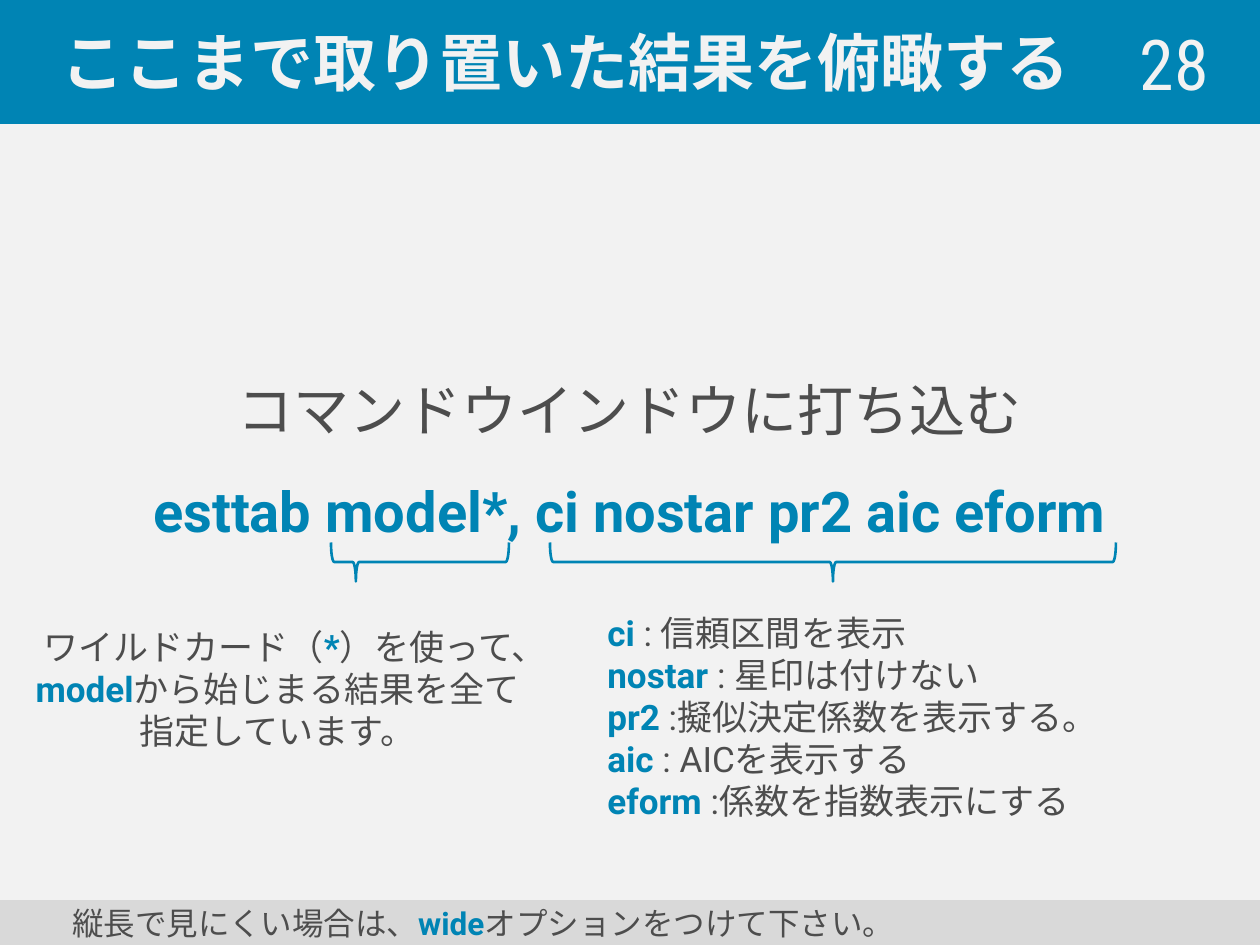
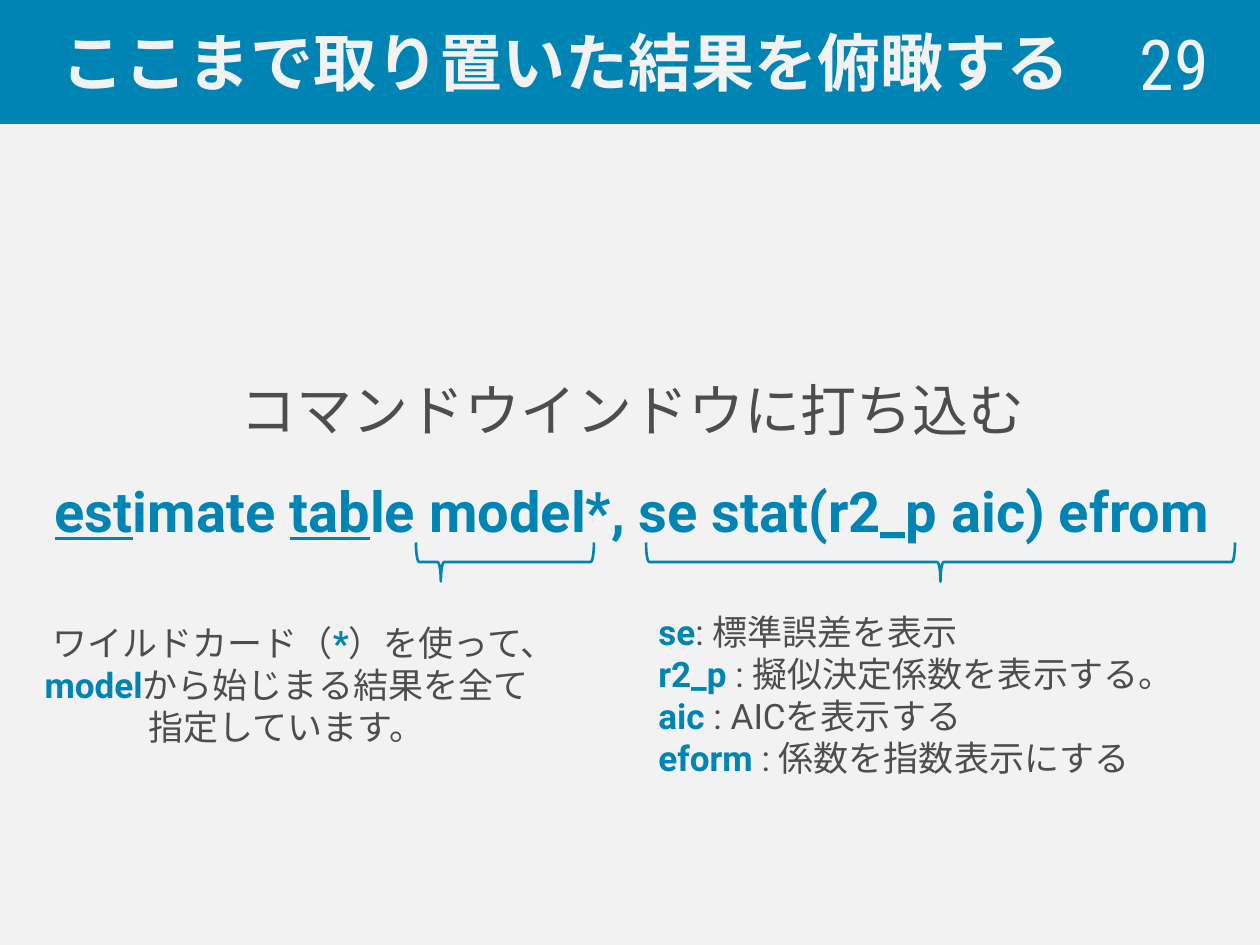
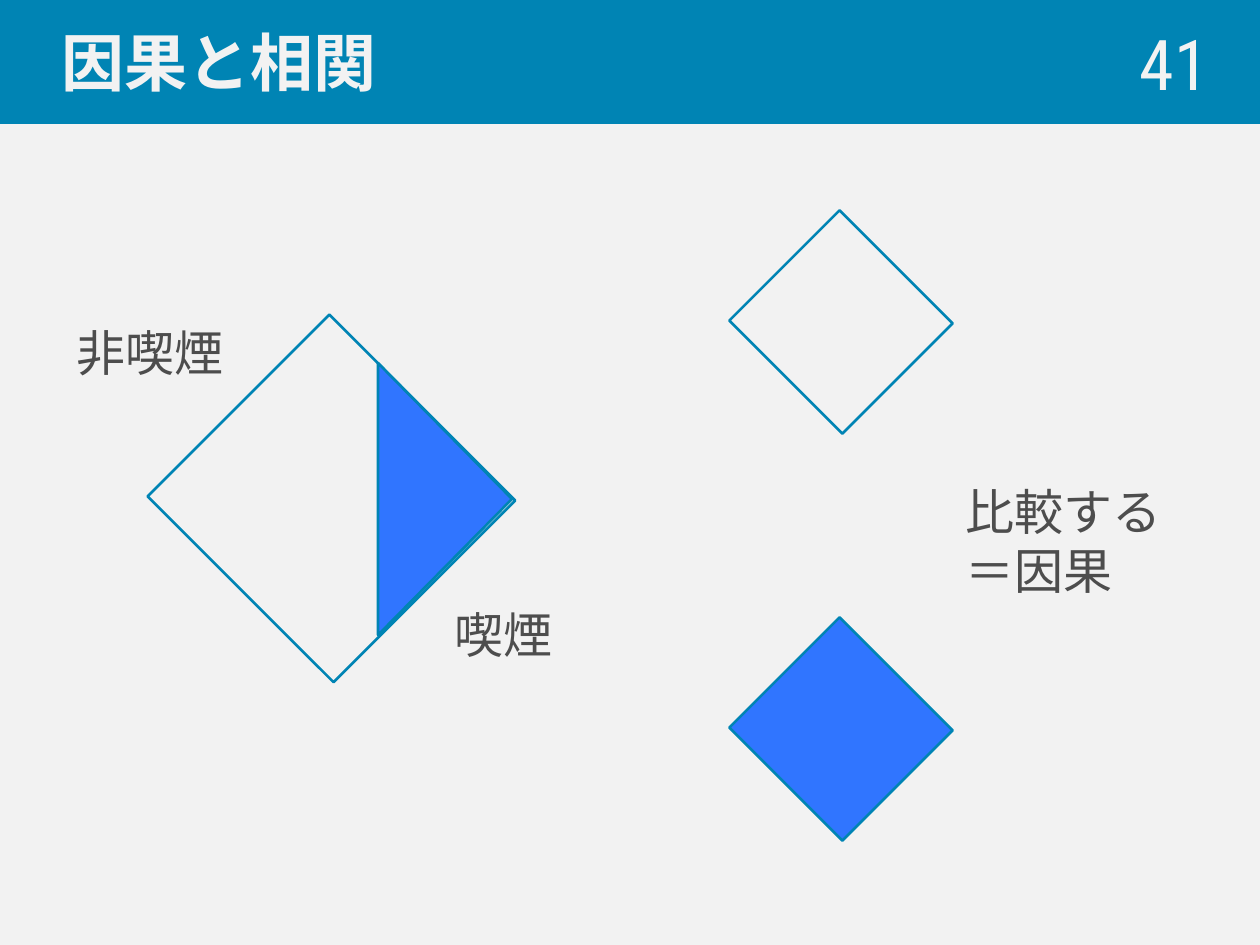
from dataclasses import dataclass

from pptx import Presentation
from pptx.dml.color import RGBColor
from pptx.enum.lang import MSO_LANGUAGE_ID
from pptx.enum.shapes import MSO_SHAPE
from pptx.enum.text import MSO_ANCHOR, MSO_AUTO_SIZE, PP_ALIGN
from pptx.util import Emu, Pt

RECT, BRACE, TRIANGLE = MSO_SHAPE.RECTANGLE, MSO_SHAPE.LEFT_BRACE, MSO_SHAPE.ISOSCELES_TRIANGLE
LEFT, CENTER, RIGHT = PP_ALIGN.LEFT, PP_ALIGN.CENTER, PP_ALIGN.RIGHT
MIDDLE = MSO_ANCHOR.MIDDLE
GROW = MSO_AUTO_SIZE.SHAPE_TO_FIT_TEXT
JAPANESE = MSO_LANGUAGE_ID.JAPANESE
EMU_PER_PX = 914400 / 126
SLIDE_W, SLIDE_H = 1260, 945


@dataclass(frozen=True)
class Theme:
    """Colours, fonts and type sizes of the deck."""
    paper: str = "F2F2F2"
    accent: str = "0084B4"
    ink: str = "4D4D4D"
    band: str = "D9D9D9"
    smokers: str = "3075FF"
    body_font: str = "Roboto"
    title_font: str = "Calibri"
    number_font: str = "Roboto Condensed"
    title: int = 36
    number: int = 40
    command: int = 32
    label: int = 28
    note: int = 20
    footer: int = 18
    outline: float = 1.5


THEME = Theme()


@dataclass(frozen=True)
class Words:
    """A run of text with its emphasis."""
    text: str
    key: bool = False
    underline: bool = False


def key(text, underline=False):
    """Return a bold accent run."""
    return Words(text, True, underline)


WILDCARD_NOTE = [[Words("ワイルドカード（"), key("*"), Words("）を使って、"), key("model"),
                  Words("から始じまる結果を全て指定しています。")]]


def px(length):
    """Turn pixels into EMU."""
    return Emu(round(length * EMU_PER_PX))


def rgb(colour):
    """Turn a hex string into a colour."""
    return RGBColor.from_string(colour)


def add_figure(slide, preset, box, fill=None, line=THEME.accent, turn=0):
    """Draw a preset shape, optionally filled, outlined and turned."""
    figure = slide.shapes.add_shape(preset, *map(px, box))
    figure.shadow.inherit = False
    figure.rotation = turn
    if fill:
        figure.fill.solid()
        figure.fill.fore_color.rgb = rgb(fill)
    else:
        figure.fill.background()
    if line:
        figure.line.color.rgb = rgb(line)
        figure.line.width = Pt(THEME.outline)
    else:
        figure.line.fill.background()
    return figure


def write(frame, paragraphs, size, font=THEME.body_font, colour=THEME.ink,
          bold=False, align=LEFT, spacing=None, indent=0):
    """Fill a text frame run by run."""
    frame.word_wrap = True
    for index, runs in enumerate(paragraphs):
        paragraph = frame.add_paragraph() if index else frame.paragraphs[0]
        paragraph.alignment = align
        if spacing:
            paragraph.line_spacing = spacing
        if indent:
            properties = paragraph._p.get_or_add_pPr()
            properties.set("marL", str(px(indent)))
            properties.set("indent", "0")
        for words in runs:
            for part, line in enumerate(words.text.split("\n")):
                if part:
                    paragraph.add_line_break()
                run = paragraph.add_run()
                run.text = line
                run.font.name = font
                run.font.size = Pt(size)
                run.font.bold = bold or words.key
                run.font.underline = words.underline
                run.font.color.rgb = rgb(THEME.accent if words.key else colour)
                run.font.language_id = JAPANESE


def add_text(slide, box, paragraphs, size, anchor=None, **style):
    """Place a text box; without an anchor it grows with its text."""
    frame = slide.shapes.add_textbox(*map(px, box)).text_frame
    if anchor:
        frame.vertical_anchor = anchor
    write(frame, paragraphs, size, **style)
    frame.auto_size = MSO_AUTO_SIZE.NONE if anchor else GROW


def add_band(slide, box, runs, size, fill, indent, line=None, **style):
    """Draw a full-width band with indented text."""
    frame = add_figure(slide, RECT, box, fill, line).text_frame
    frame.vertical_anchor = MIDDLE
    write(frame, [runs], size, indent=indent, **style)


def add_titled_slide(prs, title, number):
    """Add a blank slide with the title band and its number."""
    slide = prs.slides.add_slide(prs.slide_layouts[6])
    add_band(slide, (0, 0, SLIDE_W, 123), [Words(title)], THEME.title, THEME.accent, 49,
             THEME.accent, font=THEME.title_font, colour=THEME.paper, bold=True)
    add_text(slide, (978, 24, 243, 77), [[Words(str(number))]], THEME.number, MIDDLE,
             font=THEME.number_font, colour=THEME.paper, align=RIGHT)
    return slide


def add_command(slide, left, width, command):
    """Write the instruction and the command to type."""
    add_text(slide, (left, 155, width, 576), [[Words("コマンドウインドウに打ち込む")], command],
             THEME.command, MIDDLE, align=CENTER, spacing=1.5)


def add_brace(slide, left, span, tip=None):
    """Draw a brace under the command, pointing down."""
    depth, middle = 39, 562
    box = (left + (span - depth) / 2, middle - span / 2, depth, span)
    brace = add_figure(slide, BRACE, box, turn=270)
    if tip:
        brace.adjustments[1] = tip


def add_wildcard(slide, brace_left, note_left, note_top):
    """Explain the wildcard under its brace."""
    add_brace(slide, brace_left, 178, 0.14)
    add_text(slide, (note_left, note_top, 523, 140), WILDCARD_NOTE, THEME.note, align=CENTER)


def add_options(slide, box, options):
    """List each option with its meaning."""
    add_text(slide, box, [[key(name), Words(meaning)] for name, meaning in options], THEME.note)


def add_diamond(slide, box, fill=None):
    """Draw a rectangle standing on its corner."""
    add_figure(slide, RECT, box, fill, turn=45)


def build_esttab(prs):
    """Build the slide on the esttab command."""
    slide = add_titled_slide(prs, "ここまで取り置いた結果を俯瞰する", 28)
    add_command(slide, 63, 1134, [key("esttab model*, ci nostar pr2 aic eform")])
    add_brace(slide, 550, 566)
    add_options(slide, (595, 605, 625, 224), [
        ("ci", " : 信頼区間を表示"),
        ("nostar ", ": 星印は付けない"),
        ("pr2", " :擬似決定係数を表示する。"),
        ("aic", " : AICを表示する"),
        ("eform", " :係数を指数表示にする"),
    ])
    add_band(slide, (0, 900, SLIDE_W, 45),
             [Words("縦長で見にくい場合は、"), key("wide"), Words("オプションをつけて下さい。")],
             THEME.footer, THEME.band, 60)
    add_wildcard(slide, 331, 16, 619)


def build_estimate_table(prs):
    """Build the slide on the estimate table command."""
    slide = add_titled_slide(prs, "ここまで取り置いた結果を俯瞰する", 29)
    add_command(slide, 5, 1255, [key("est", True), key("imate "), key("tab", True),
                                 key("le model*, se stat(r2_p aic) efrom")])
    add_brace(slide, 646, 589)
    add_options(slide, (646, 604, 605, 183), [
        ("se", ": 標準誤差を表示"),
        ("r2_p", " : 擬似決定係数を表示する。"),
        ("aic", " : AICを表示する"),
        ("eform", " : 係数を指数表示にする"),
    ])
    add_wildcard(slide, 416, 25, 615)


def build_causation(prs):
    """Build the slide on causation and correlation."""
    slide = add_titled_slide(prs, "因果と相関", 41)
    add_diamond(slide, (200, 370, 263, 257))
    add_figure(slide, TRIANGLE, (309, 432, 272, 134), THEME.smokers, turn=90)
    for top, fill in ((244, None), (651, THEME.smokers)):
        add_diamond(slide, (761, top, 160, 156), fill)
    for box, label in (((442, 598, 149, 72), "喫煙"),
                       ((64, 316, 175, 72), "非喫煙"),
                       ((953, 475, 263, 131), "比較する\n＝因果")):
        add_text(slide, box, [[Words(label)]], THEME.label)


def main():
    """Build and save the deck."""
    prs = Presentation()
    prs.slide_width, prs.slide_height = px(SLIDE_W), px(SLIDE_H)
    paper = prs.slide_master.background.fill
    paper.solid()
    paper.fore_color.rgb = rgb(THEME.paper)
    build_esttab(prs)
    build_estimate_table(prs)
    build_causation(prs)
    prs.save("out.pptx")


if __name__ == "__main__":
    main()
